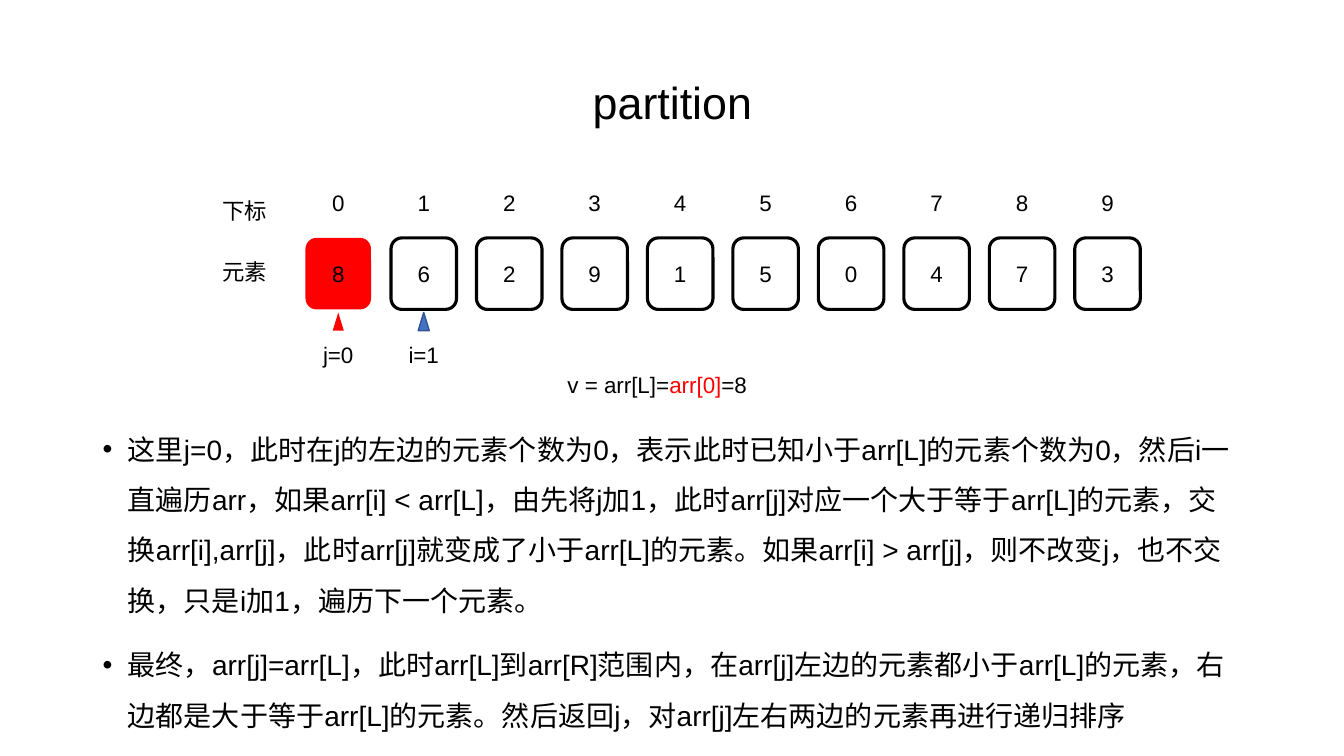
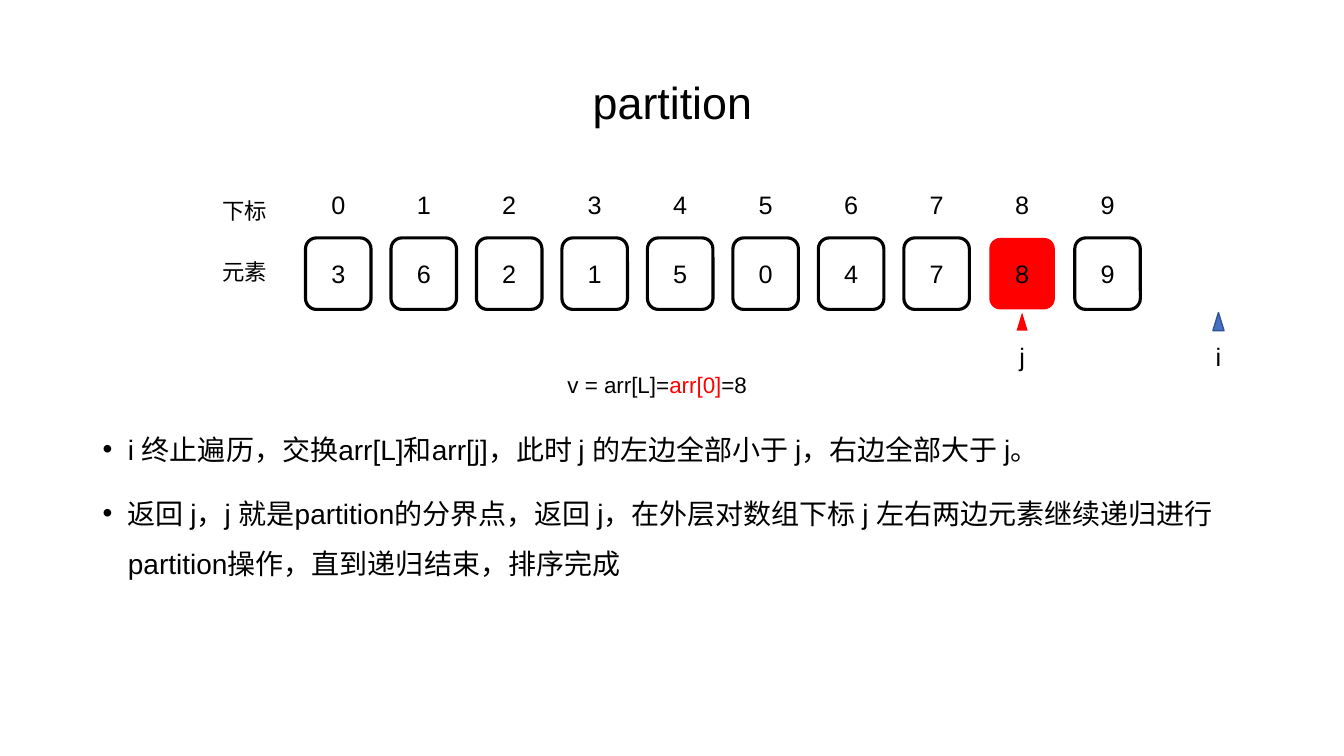
from pptx import Presentation
from pptx.dml.color import RGBColor
from pptx.enum import shapes, text
from pptx.oxml import parse_xml
from pptx.oxml.ns import nsdecls
from pptx.util import Inches, Pt

FONT = "Arial"
BLACK, RED, BLUE, DARK_BLUE = "000000", "FF0000", "4472C4", "325491"
CELL_COUNT = 10
CELL_LEFT, CELL_TOP, CELL_WIDTH, CELL_HEIGHT = 3.03, 2.36, 0.65, 0.71
CELL_PITCH = (10.66 - CELL_LEFT) / (CELL_COUNT - 1)
MARKER_WIDTH, MARKER_HEIGHT = 0.11, 0.18
CENTER, LEFT = text.PP_ALIGN.CENTER, text.PP_ALIGN.LEFT


def color(hex_text):
    return RGBColor.from_string(hex_text)


def cell_left(index):
    return CELL_LEFT + index * CELL_PITCH


def place(left, top, width, height):
    return [Inches(value) for value in (left, top, width, height)]


def write(para, *parts, size=16, align=CENTER, spacing=None):
    """Fill a paragraph with strings or (string, colour) pairs."""
    para.alignment = align
    if spacing:
        para.line_spacing = spacing
    for part in parts:
        words, tint = (part, BLACK) if isinstance(part, str) else part
        span = para.add_run()
        span.text = words
        span.font.name = FONT
        span.font.size = Pt(size)
        span.font.color.rgb = color(tint)


def add_text(parent, area, *parts, **style):
    box = parent.add_textbox(*place(*area))
    box.text_frame.word_wrap = True
    write(box.text_frame.paragraphs[0], *parts, **style)


def add_form(parent, kind, area, fill=None, line=None, line_width=1):
    form = parent.add_shape(kind, *place(*area))
    form.shadow.inherit = False
    if fill:
        form.fill.solid()
        form.fill.fore_color.rgb = color(fill)
    else:
        form.fill.background()
    if line:
        form.line.color.rgb = color(line)
        form.line.width = Pt(line_width)
    else:
        form.line.fill.background()
    return form


def add_title(page, words):
    title = page.shapes.title
    title.left, title.top, title.width, title.height = place(0.92, 0.4, 11.5, 1.11)
    frame = title.text_frame
    frame.auto_size = text.MSO_AUTO_SIZE.NONE
    frame.vertical_anchor = text.MSO_ANCHOR.MIDDLE
    write(frame.paragraphs[0], words, size=32, spacing=1.2)


def add_array(page, values, pivot, size):
    """Draw the numbered cells, with the pivot cell filled red."""
    for index, value in enumerate(values):
        left = cell_left(index)
        style = {"fill": RED} if index == pivot else {"line": BLACK, "line_width": 2.25}
        cell = add_form(page.shapes, shapes.MSO_SHAPE.ROUNDED_RECTANGLE,
                        (left, CELL_TOP, CELL_WIDTH, CELL_HEIGHT), **style)
        cell.text_frame.vertical_anchor = text.MSO_ANCHOR.MIDDLE
        write(cell.text_frame.paragraphs[0], str(value), size=size)
        add_text(page.shapes, (left, 1.83, CELL_WIDTH, 0.37), str(index), size=size)
    for words, top in (("下标", 1.91), ("元素", 2.51)):
        add_text(page.shapes, (2.02, top, 0.81, 0.37), words)
    add_text(page.shapes, (5.53, 3.63, 2.26, 0.37),
             "v = arr[L]=", ("arr[0]", RED), "=8", align=LEFT)


def add_pointer(page, label, left, size, fill, line=None):
    """Group a triangle with the label of the index it marks."""
    group = page.shapes.add_group_shape().shapes
    add_text(group, (left, 3.34, CELL_WIDTH, 0.37), label, size=size)
    add_form(group, shapes.MSO_SHAPE.ISOSCELES_TRIANGLE,
             (left + (CELL_WIDTH - MARKER_WIDTH) / 2, 3.1, MARKER_WIDTH, MARKER_HEIGHT),
             fill, line)


def add_bullets(page, items):
    frame = page.shapes.add_textbox(*place(0.92, 4.07, 11.5, 3.28)).text_frame
    frame.word_wrap = True
    for number, item in enumerate(items):
        para = frame.add_paragraph() if number else frame.paragraphs[0]
        write(para, item, size=20, align=LEFT, spacing=1.5)
        para.space_before = Pt(10 if number else 0)
        properties = para._p.get_or_add_pPr()
        properties.set("marL", str(Inches(0.25)))
        properties.set("indent", str(Inches(-0.25)))
        for markup in ('<a:buFont %s typeface="Arial"/>', '<a:buChar %s char="•"/>'):
            properties.append(parse_xml(markup % nsdecls("a")))


def add_partition_page(deck, values, pivot, size, j_label, i_label, i_left, items):
    page = deck.slides.add_slide(deck.slide_layouts[5])
    add_title(page, "partition")
    add_bullets(page, items)
    add_array(page, values, pivot, size)
    add_pointer(page, i_label, i_left, size, BLUE, DARK_BLUE)
    add_pointer(page, j_label, cell_left(pivot), size, RED)


def main():
    deck = Presentation()
    deck.slide_width, deck.slide_height = Inches(13.33), Inches(7.5)
    add_partition_page(
        deck, [8, 6, 2, 9, 1, 5, 0, 4, 7, 3], pivot=0, size=16,
        j_label="j=0", i_label="i=1", i_left=cell_left(1),
        items=[
            "这里j=0，此时在j的左边的元素个数为0，表示此时已知小于arr[L]的元素个数为0，"
            "然后i一直遍历arr，如果arr[i] < arr[L]，由先将j加1，此时arr[j]对应一个大于等于"
            "arr[L]的元素，交换arr[i],arr[j]，此时arr[j]就变成了小于arr[L]的元素。"
            "如果arr[i] > arr[j]，则不改变j，也不交换，只是i加1，遍历下一个元素。",
            "最终，arr[j]=arr[L]，此时arr[L]到arr[R]范围内，在arr[j]左边的元素都小于arr[L]的元素，"
            "右边都是大于等于arr[L]的元素。然后返回j，对arr[j]左右两边的元素再进行递归排序",
        ])
    add_partition_page(
        deck, [3, 6, 2, 1, 5, 0, 4, 7, 8, 9], pivot=8, size=18,
        j_label="j", i_label="i", i_left=11.76,
        items=[
            "i 终止遍历，交换arr[L]和arr[j]，此时 j 的左边全部小于 j，右边全部大于 j。",
            "返回 j，j 就是partition的分界点，返回 j，在外层对数组下标 j 左右两边元素继续递归"
            "进行partition操作，直到递归结束，排序完成",
        ])
    deck.save("out.pptx")


if __name__ == "__main__":
    main()
